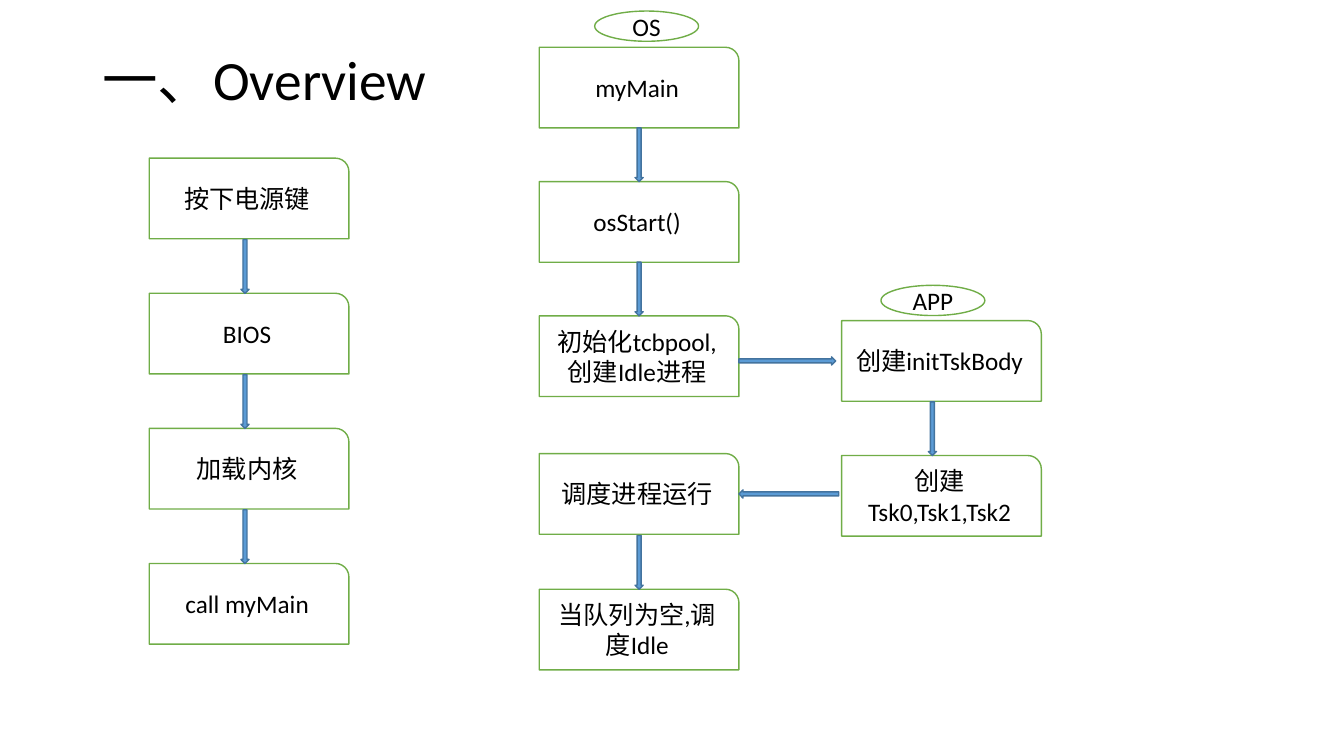
"""Build the boot, OS and APP flow overview slide."""
from dataclasses import dataclass

from pptx import Presentation
from pptx.dml.color import RGBColor
from pptx.enum.shapes import MSO_SHAPE
from pptx.enum.text import MSO_ANCHOR, MSO_AUTO_SIZE, PP_ALIGN
from pptx.util import Pt


@dataclass(frozen=True)
class Theme:
    font: str = "Calibri"
    title_size: float = 39.6
    body_size: float = 18
    text: RGBColor = RGBColor(0, 0, 0)
    step_fill: RGBColor = RGBColor(255, 255, 255)
    step_line: RGBColor = RGBColor(0x70, 0xAD, 0x47)
    arrow_fill: RGBColor = RGBColor(0x5B, 0x9B, 0xD5)
    arrow_line: RGBColor = RGBColor(0x43, 0x73, 0x9E)


theme = Theme()


def style_text(frame, size, align):
    frame.vertical_anchor = MSO_ANCHOR.MIDDLE
    frame.word_wrap = True
    for paragraph in frame.paragraphs:
        paragraph.alignment = align
        for run in paragraph.runs:
            run.font.name = theme.font
            run.font.size = Pt(size)
            run.font.color.rgb = theme.text


def add_part(preset, left, top, width, height, fill, line, words=""):
    part = slide.shapes.add_shape(preset, Pt(left), Pt(top), Pt(width), Pt(height))
    part.shadow.inherit = False
    part.fill.solid()
    part.fill.fore_color.rgb = fill
    part.line.color.rgb = line
    part.line.width = Pt(1)
    if words:
        part.text_frame.text = words
        style_text(part.text_frame, theme.body_size, PP_ALIGN.CENTER)


deck = Presentation()
deck.slide_width, deck.slide_height = Pt(960), Pt(540)
slide = deck.slides.add_slide(deck.slide_layouts[5])

title = slide.shapes.title
title.left, title.top, title.width, title.height = Pt(66), Pt(28.8), Pt(828), Pt(104.4)
title.text_frame.text = "一、Overview"
title.text_frame.auto_size = MSO_AUTO_SIZE.NONE
title.text_frame.margin_bottom = Pt(47)
title.text_frame.paragraphs[0].line_spacing = 0.9
style_text(title.text_frame, theme.title_size, PP_ALIGN.LEFT)

step_width, step_height = 142.6, 57.6
arrow_length, arrow_thickness = 38.4, 5.8
boot_left, os_left, app_left = 106.6, 385.2, 601.2

chains = [
    (boot_left, 113, 96.5, 172.1, ["按下电源键", "BIOS", "加载内核", "call myMain"]),
    (os_left, 33.8, 95.9, 453.6, ["myMain", "osStart()", "初始化tcbpool,创建Idle进程"]),
    (os_left, 324, 96.9, 453.6, ["调度进程运行", "当队列为空,调度Idle".replace(",", ",")]),
    (app_left, 229, 96.4, 663.1, ["创建initTskBody", "创建Tsk0,Tsk1,Tsk2"]),
]
for left, first_top, pitch, arrow_left, steps in chains:
    for index, step in enumerate(steps):
        top = first_top + index * pitch
        add_part(MSO_SHAPE.ROUND_1_RECTANGLE, left, top, step_width, step_height,
                 theme.step_fill, theme.step_line, step)
        if index:
            add_part(MSO_SHAPE.DOWN_ARROW, arrow_left, top - arrow_length,
                     arrow_thickness, arrow_length, theme.arrow_fill, theme.arrow_line)

os_right = os_left + step_width
for direction, top, length in [(MSO_SHAPE.RIGHT_ARROW, 254.9, 69.1),
                               (MSO_SHAPE.LEFT_ARROW, 349.9, 71.3)]:
    add_part(direction, os_right, top, length, arrow_thickness,
             theme.arrow_fill, theme.arrow_line)

for stage, left, top in [("OS", 424.8, 7.9), ("APP", 629.3, 203.8)]:
    add_part(MSO_SHAPE.OVAL, left, top, 74.2, 21.6,
             theme.step_fill, theme.step_line, stage)

deck.save("out.pptx")
